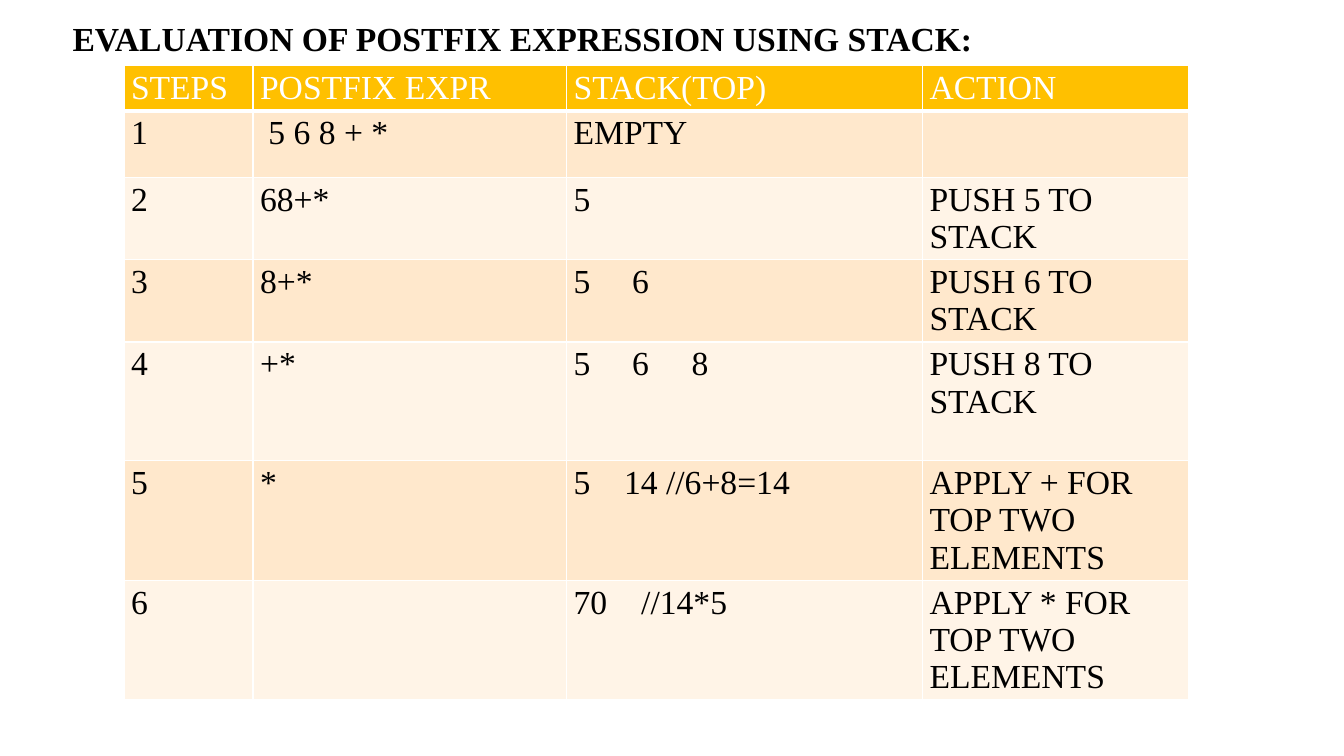
from dataclasses import dataclass

from lxml.etree import SubElement
from pptx import Presentation
from pptx.dml.color import RGBColor
from pptx.enum.text import MSO_ANCHOR, PP_ALIGN
from pptx.oxml.ns import qn
from pptx.slide import Slide
from pptx.table import _Cell
from pptx.text.text import _Paragraph
from pptx.util import Inches, Pt

FONT = "Times New Roman"
BLACK, WHITE = "000000", "FFFFFF"
HEADER_FILL = "FFC000"
BAND_FILLS = ("FFE8CC", "FFF4E7")
COLUMN_WIDTHS = (1.28, 3.11, 3.53, 2.64)
HEADINGS = ("STEPS", "POSTFIX EXPR", "STACK(TOP)", "ACTION")
HEADER_HEIGHT = 0.43


@dataclass(frozen=True)
class Step:
    expression: str
    stack: str
    action: str
    height: float
    tab_stops: tuple[float, ...] = ()


STEPS = (
    Step(" 5 6 8 + *", "EMPTY", "", 0.66),
    Step("68+*", "5", "PUSH 5 TO STACK", 0.81),
    Step("8+*", "5\t6", "PUSH 6 TO STACK", 0.81, (0.58,)),
    Step("+*", "5\t6\t8", "PUSH 8 TO STACK", 1.18, (0.58, 1.17)),
    Step("*", "5\t14 //6+8=14", "APPLY + FOR TOP TWO ELEMENTS", 1.18, (0.5,)),
    Step("", "70\t//14*5", "APPLY * FOR TOP TWO ELEMENTS", 1.18, (0.67,)),
)


def color(value: str) -> RGBColor:
    return RGBColor.from_string(value)


def add_span(para: _Paragraph, text: str, text_color: str, bold: bool = False) -> None:
    span = para.add_run()
    span.text = text
    span.font.name = FONT
    span.font.size = Pt(24)
    span.font.bold = bold
    span.font.color.rgb = color(text_color)


def set_tab_stops(para: _Paragraph, stops: tuple[float, ...]) -> None:
    tab_list = SubElement(para._p.get_or_add_pPr(), qn("a:tabLst"))
    for stop in stops:
        SubElement(tab_list, qn("a:tab"), pos=str(Inches(stop)), algn="l")


def set_borders(cell: _Cell, bottom_width: float) -> None:
    properties = cell._tc.get_or_add_tcPr()
    widths = {"lnL": 1, "lnR": 1, "lnT": 1, "lnB": bottom_width}
    for index, (side, width) in enumerate(widths.items()):
        line = SubElement(properties, qn(f"a:{side}"), w=str(Pt(width)))
        SubElement(SubElement(line, qn("a:solidFill")), qn("a:srgbClr"), val=WHITE)
        properties.insert(index, line)


def fill_cell(cell: _Cell, text: str, fill: str, text_color: str,
              bottom_width: float = 1) -> None:
    cell.fill.solid()
    cell.fill.fore_color.rgb = color(fill)
    set_borders(cell, bottom_width)
    cell.margin_left = cell.margin_right = Inches(0.07)
    cell.margin_top = cell.margin_bottom = Inches(0.04)
    if text:
        add_span(cell.text_frame.paragraphs[0], text, text_color)


def add_title(page: Slide) -> None:
    title = page.shapes.title
    title.left, title.top = Inches(0.62), Inches(0.15)
    title.width, title.height = Inches(12.2), Inches(0.5)
    frame = title.text_frame
    frame.word_wrap = True
    frame.vertical_anchor = MSO_ANCHOR.MIDDLE
    para = frame.paragraphs[0]
    para.alignment = PP_ALIGN.LEFT
    para.line_spacing = 0.9
    add_span(para, "EVALUATION OF POSTFIX EXPRESSION USING STACK:", BLACK, bold=True)


def add_steps_table(page: Slide) -> None:
    heights = (HEADER_HEIGHT, *(step.height for step in STEPS))
    table = page.shapes.add_table(
        len(heights), len(HEADINGS), Inches(1.23), Inches(0.65),
        Inches(sum(COLUMN_WIDTHS)), Inches(sum(heights))).table
    for column, width in zip(table.columns, COLUMN_WIDTHS):
        column.width = Inches(width)
    for row, height in zip(table.rows, heights):
        row.height = Inches(height)

    # Header row
    for cell, heading in zip(table.rows[0].cells, HEADINGS):
        fill_cell(cell, heading, HEADER_FILL, WHITE, bottom_width=3)

    # Banded step rows
    for number, step in enumerate(STEPS, start=1):
        fill = BAND_FILLS[(number - 1) % 2]
        texts = (str(number), step.expression, step.stack, step.action)
        for cell, text in zip(table.rows[number].cells, texts):
            fill_cell(cell, text, fill, BLACK)
        if step.tab_stops:
            set_tab_stops(table.cell(number, 2).text_frame.paragraphs[0], step.tab_stops)


def main() -> None:
    deck = Presentation()
    deck.slide_width, deck.slide_height = Inches(13.33), Inches(7.5)
    page = deck.slides.add_slide(deck.slide_layouts.get_by_name("Title Only"))
    add_title(page)
    add_steps_table(page)
    deck.save("out.pptx")


if __name__ == "__main__":
    main()
